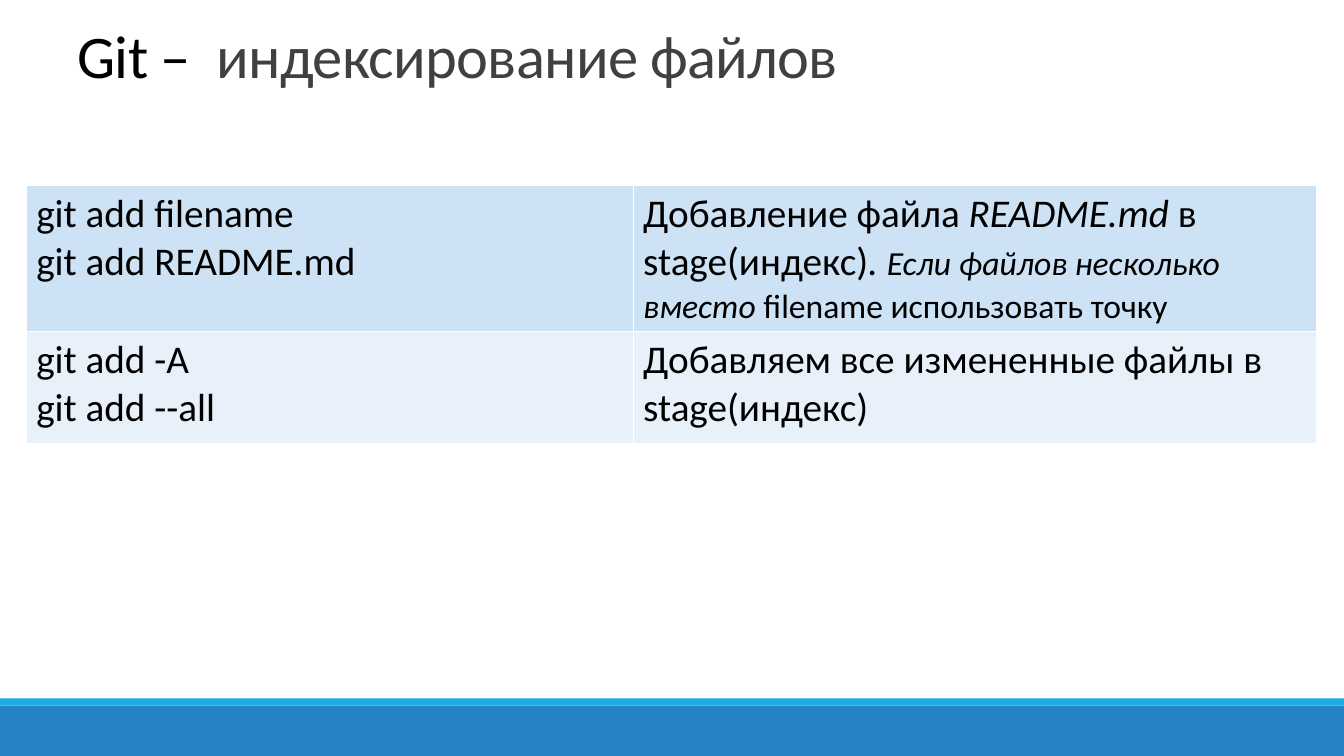
from pptx import Presentation
from pptx.dml.color import RGBColor
from pptx.enum.shapes import MSO_SHAPE
from pptx.enum.text import MSO_ANCHOR
from pptx.oxml.ns import qn
from pptx.util import Inches, Pt
from lxml import etree

RECT = MSO_SHAPE.RECTANGLE
BOTTOM = MSO_ANCHOR.BOTTOM

BLACK = RGBColor(0x00, 0x00, 0x00)
GRAY = RGBColor(0x40, 0x40, 0x40)
BLUE = RGBColor(0x26, 0x83, 0xC6)
CYAN = RGBColor(0x1C, 0xAD, 0xE4)
WHITE = RGBColor(0xFF, 0xFF, 0xFF)
BANDS = [RGBColor(0xCD, 0xE3, 0xF5), RGBColor(0xE8, 0xF1, 0xFA)]

FONT = "Calibri"
COLS = [6.02, 6.78]
ROWS = [1.45, 1.11]

# Each cell is a list of paragraphs, each paragraph a list of (text, size, italic)
CELLS = [
    [
        [[("git add filename", 28, False)], [("git add README.md", 28, False)]],
        [[
            ("Добавление файла ", 28, False),
            ("README.md ", 28, True),
            ("в stage(индекс)", 28, False),
            (". ", 28, True),
            ("Если файлов несколько вместо ", 24, True),
            ("filename использовать точку", 24, False),
        ]],
    ],
    [
        [[("git add -A", 28, False)], [("git add --all", 28, False)]],
        [[("Добавляем все измененные файлы в stage(индекс)", 28, False)]],
    ],
]


def add_run(para, text, size, color=BLACK, italic=False):
    run = para.add_run()
    run.text = text
    font = run.font
    font.name = FONT
    font.size = Pt(size)
    font.italic = italic
    font.color.rgb = color
    return run


def add_bar(slide, top, height, color):
    bar = slide.shapes.add_shape(
        RECT, 0, Inches(top), Inches(13.33), Inches(height))
    bar.shadow.inherit = False
    bar.fill.solid()
    bar.fill.fore_color.rgb = color
    bar.line.fill.background()


def add_title(slide, parts):
    box = slide.shapes.add_textbox(
        Inches(0.67), Inches(0.26), Inches(11), Inches(0.69))
    frame = box.text_frame
    frame.word_wrap = True
    frame.vertical_anchor = BOTTOM
    para = frame.paragraphs[0]
    para.line_spacing = 0.85
    for text, color in parts:
        run = add_run(para, text, 43.2, color)
        run.font._element.set("spc", "-50")


def set_edges(cell, color):
    props = cell._tc.get_or_add_tcPr()
    for i, side in enumerate(("a:lnL", "a:lnR", "a:lnT", "a:lnB")):
        line = etree.Element(qn(side), w=str(Pt(1)))
        fill = etree.SubElement(line, qn("a:solidFill"))
        etree.SubElement(fill, qn("a:srgbClr"), val=str(color))
        props.insert(i, line)


def fill_cell(cell, paras, color):
    cell.fill.solid()
    cell.fill.fore_color.rgb = color
    set_edges(cell, WHITE)
    frame = cell.text_frame
    for i, runs in enumerate(paras):
        para = frame.add_paragraph() if i else frame.paragraphs[0]
        for text, size, italic in runs:
            add_run(para, text, size, italic=italic)


def add_grid(slide):
    table = slide.shapes.add_table(
        len(ROWS), len(COLS), Inches(0.26), Inches(1.84),
        Inches(sum(COLS)), Inches(sum(ROWS))).table
    table.first_row = False
    table.horz_banding = False
    for col, width in zip(table.columns, COLS):
        col.width = Inches(width)
    for row, height, cells, color in zip(table.rows, ROWS, CELLS, BANDS):
        row.height = Inches(height)
        for cell, paras in zip(row.cells, cells):
            fill_cell(cell, paras, color)


def main():
    deck = Presentation()
    deck.slide_width = Inches(13.33)
    deck.slide_height = Inches(7.5)
    slide = deck.slides.add_slide(deck.slide_layouts[6])

    # Footer bars
    add_bar(slide, 7, 0.5, BLUE)
    add_bar(slide, 6.93, 0.07, CYAN)

    # Heading
    add_title(slide, [("Git –  ", BLACK), ("индексирование файлов", GRAY)])

    # Command table
    add_grid(slide)

    deck.save("out.pptx")


if __name__ == "__main__":
    main()
